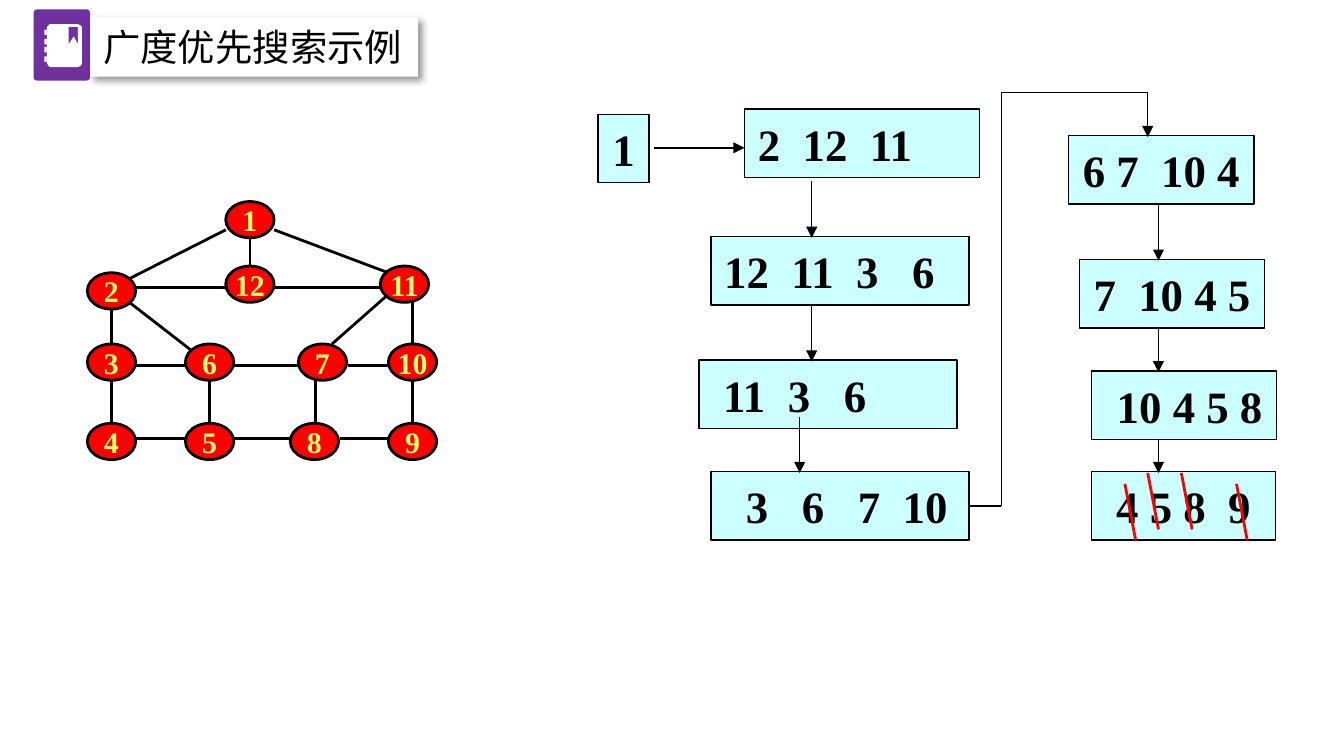
from lxml import etree
from pptx import Presentation
from pptx.dml.color import RGBColor
from pptx.enum.shapes import MSO_CONNECTOR, MSO_SHAPE
from pptx.enum.text import MSO_ANCHOR, MSO_AUTO_SIZE, PP_ALIGN
from pptx.oxml.ns import qn
from pptx.util import Inches, Pt

RECT = MSO_SHAPE.RECTANGLE
ROUND = MSO_SHAPE.ROUNDED_RECTANGLE
OVAL = MSO_SHAPE.OVAL
LINE = MSO_CONNECTOR.STRAIGHT
MID = MSO_ANCHOR.MIDDLE
TOP = MSO_ANCHOR.TOP
GROW = MSO_AUTO_SIZE.SHAPE_TO_FIT_TEXT
LEFT = PP_ALIGN.LEFT
CENTER = PP_ALIGN.CENTER

HEX = {
    "purple": "7030A0", "white": "FFFFFF", "black": "000000",
    "red": "FF0000", "yellow": "FFFF66", "cyan": "CCFFFF",
}
SERIF = "Times New Roman"


def tint(name):
    return RGBColor.from_string(HEX[name])


def paint(shape, fill, width=0):
    shape.shadow.inherit = False
    shape.fill.solid()
    shape.fill.fore_color.rgb = tint(fill)
    if width:
        shape.line.color.rgb = tint("black")
        shape.line.width = Pt(width)
    else:
        shape.line.fill.background()


def add_box(slide, kind, x, y, w, h, fill, width=0):
    shape = slide.shapes.add_shape(kind, Inches(x), Inches(y), Inches(w), Inches(h))
    paint(shape, fill, width)
    return shape


def write(shape, text, size, font, color, bold=False, align=LEFT, wrap=True):
    frame = shape.text_frame
    frame.text = text
    frame.word_wrap = wrap
    frame.vertical_anchor = MID
    para = frame.paragraphs[0]
    para.alignment = align
    face = para.runs[0].font
    face.size = Pt(size)
    face.name = font
    face.bold = bold
    face.color.rgb = tint(color)
    return frame


def add_line(slide, x1, y1, x2, y2, width=0.75, color="black", arrow=False):
    line = slide.shapes.add_connector(LINE, Inches(x1), Inches(y1), Inches(x2), Inches(y2))
    line.line.color.rgb = tint(color)
    line.line.width = Pt(width)
    props = line._element.spPr
    if arrow:
        etree.SubElement(props.find(qn("a:ln")), qn("a:tailEnd"), type="triangle")
    etree.SubElement(props, qn("a:effectLst"))
    return line


def add_book(slide, x, y):
    edge = [(25, 0), (4, 0), (3, 1), (2, 2)]
    for tab in (4, 11, 17, 24):
        edge += [(2, tab), (0, tab), (0, tab + 4), (2, tab + 4)]
    edge += [(2, 29), (3, 31), (4, 32), (25, 32), (27, 31), (28, 29), (28, 2), (27, 1)]
    mark = [(25, 15), (22, 9), (18, 15), (18, 2), (25, 2)]
    pen = slide.shapes.build_freeform(*edge[0], scale=Inches(0.01))
    pen.add_line_segments(edge[1:])
    pen.move_to(*mark[0])
    pen.add_line_segments(mark[1:])
    paint(pen.convert_to_shape(Inches(x), Inches(y)), "white")


def add_title(slide, x, y):
    tile = add_box(slide, ROUND, x, y, 0.42, 0.53, "purple")
    tile.adjustments[0] = 0.06
    add_book(slide, x + 0.08, y + 0.11)
    bar = add_box(slide, RECT, x + 0.42, y + 0.06, 2.44, 0.44, "white")
    frame = write(bar, "广度优先搜索示例", 20, "Calibri", "black")
    frame.vertical_anchor = TOP
    frame.auto_size = GROW
    glow = bar._element.spPr.find(qn("a:effectLst"))
    shade = etree.SubElement(
        glow, qn("a:outerShdw"), blurRad=str(Pt(4)), dist=str(Pt(3)),
        dir="2700000", algn="tl", rotWithShape="0")
    color = etree.SubElement(shade, qn("a:srgbClr"), val=HEX["black"])
    etree.SubElement(color, qn("a:alpha"), val="40000")


def add_graph(slide, x, y):
    edges = [
        (1.21, 0.26, 1.21, 0.48), (1.39, 0.21, 2.24, 0.53), (1.03, 0.21, 0.3, 0.58),
        (0.36, 0.64, 1.03, 0.64), (1.39, 0.64, 2.18, 0.64),
        (0.18, 0.8, 0.18, 1.06), (0.3, 0.74, 0.79, 1.12),
        (2.24, 0.69, 1.82, 1.06), (2.42, 0.74, 2.42, 1.06),
    ]
    edges += [(a, 1.22, b, 1.22) for a, b in ((0.36, 0.73), (1.09, 1.57), (1.94, 2.24))]
    edges += [(a, 1.76, b, 1.76) for a, b in ((0.36, 0.73), (1.09, 1.51), (1.88, 2.24))]
    edges += [(a, 1.33, a, 1.65) for a in (0.18, 0.91, 1.7, 2.42)]
    for x1, y1, x2, y2 in edges:
        add_line(slide, x + x1, y + y1, x + x2, y + y2, 1.5)
    nodes = [
        ("1", 1.03, 0), ("12", 1.03, 0.48), ("2", 0, 0.53), ("11", 2.18, 0.48),
        ("3", 0, 1.06), ("6", 0.73, 1.06), ("7", 1.57, 1.06), ("10", 2.24, 1.06),
        ("4", 0, 1.65), ("5", 0.73, 1.65), ("8", 1.51, 1.65), ("9", 2.24, 1.65),
    ]
    for name, dx, dy in nodes:
        node = add_box(slide, OVAL, x + dx, y + dy, 0.36, 0.27, "red", 1.5)
        write(node, name, 16, SERIF, "yellow", True, CENTER, False)


def add_queue(slide, x, y):
    tall = 0.51
    base = 2.82
    states = [
        ("1", 0, 0.16, 0.38, CENTER, False, 0),
        ("2  12  11", 1.09, 0.12, 1.75, LEFT, True, 0),
        ("12  11  3   6", 0.84, 1.07, 1.92, LEFT, True, 0),
        ("11  3   6", 0.75, 1.99, 1.92, LEFT, True, 1),
        ("6 7  10 4", 3.5, 0.32, 1.38, CENTER, False, 0),
        ("7  10 4 5", 3.58, 1.24, 1.38, CENTER, False, 0),
        ("10 4 5 8", 3.67, 2.07, 1.38, CENTER, False, 1),
        ("4 5 8  9", 3.67, base, 1.37, CENTER, True, 0),
        ("3   6   7  10", 0.84, base, 1.92, LEFT, True, 2),
    ]
    for text, dx, dy, w, align, wrap, pad in states:
        box = add_box(slide, RECT, x + dx, y + dy, w, tall, "cyan", 0.75)
        frame = write(box, text, 24, SERIF, "black", True, align, wrap)
        frame.margin_left = Inches(0.1 + pad * 0.08)
        frame.auto_size = GROW
    turn = base + tall / 2
    out = add_line(slide, x + 2.76, y + turn, x + 3, y + turn)
    out.begin_connect(box, 3)
    add_line(slide, x + 3, y + turn, x + 3, y)
    add_line(slide, x + 3, y, x + 4.09, y)
    add_line(slide, x + 0.42, y + 0.41, x + 1.09, y + 0.41, 1, arrow=True)
    drops = [
        (1.59, 0.66, 1.08), (1.59, 1.58, 2), (1.5, 2.41, 2.83), (4.09, 0, 0.33),
        (4.17, 0.83, 1.25), (4.17, 1.75, 2.08), (4.17, 2.58, 2.83),
    ]
    for dx, y1, y2 in drops:
        add_line(slide, x + dx, y + y1, x + dx, y + y2, arrow=True)
    for dx, dy in ((3.92, 2.91), (4.34, 2.83), (4.09, 2.83), (4.75, 2.91)):
        add_line(slide, x + dx, y + dy, x + dx + 0.08, y + dy + 0.42, 1.5, "red")


def main():
    deck = Presentation()
    deck.slide_width = Inches(10)
    deck.slide_height = deck.slide_width * 9 // 16
    slide = deck.slides.add_slide(deck.slide_layouts[6])
    add_graph(slide, 0.65, 1.5)
    add_queue(slide, 4.45, 0.69)
    add_title(slide, 0.25, 0.07)
    deck.save("out.pptx")


if __name__ == "__main__":
    main()
